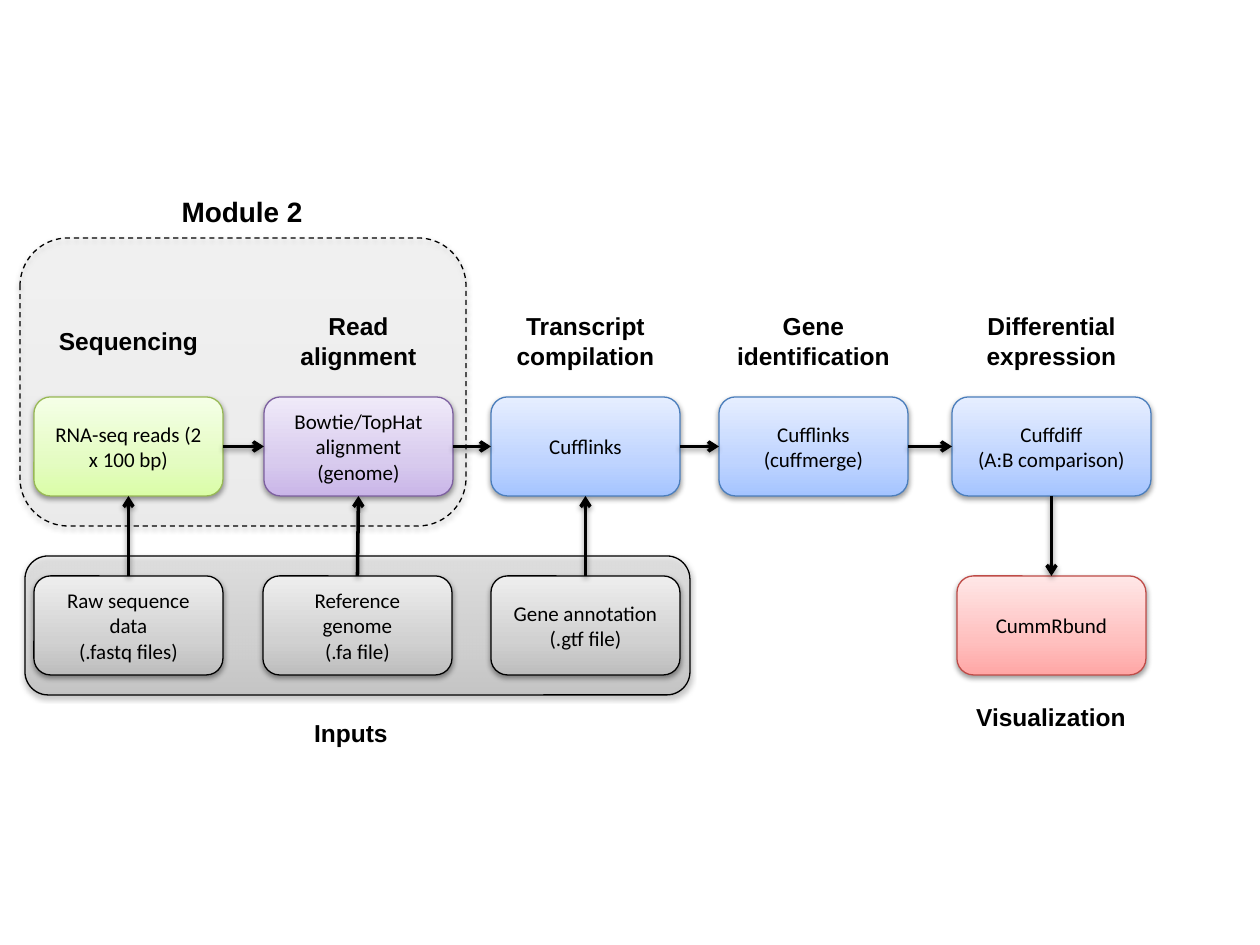
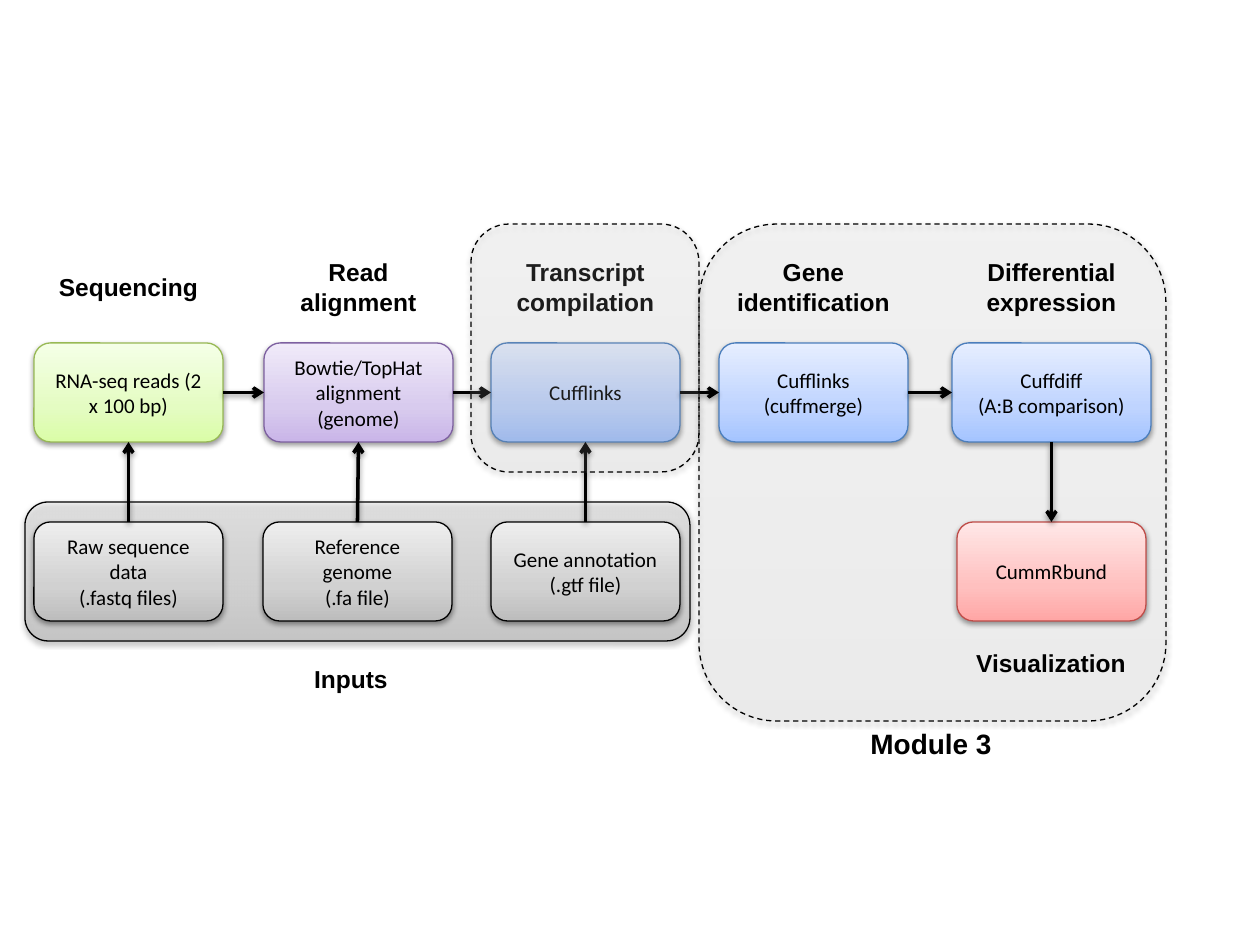
from dataclasses import dataclass
from lxml import etree
from pptx import Presentation
from pptx import util as u
from pptx.dml.color import RGBColor
from pptx.enum import dml, shapes, text
from pptx.oxml.ns import nsdecls, qn


@dataclass(frozen=True)
class Theme:
    ink: str = "000000"
    body_font: str = "Calibri"
    label_font: str = "Arial"
    body_size: int = 12
    label_size: int = 14
    module_size: int = 16
    outline: float = 0.75
    arrow: float = 2


T = Theme()
PX = 914400 / 126

PALETTE = {
    "green": (("DAFDA7", "E4FCC2", "F5FFE7"), "98B955"),
    "purple": (("C9B5E8", "D8CBEE", "F0EAF9"), "7D60A0"),
    "blue": (("A4C4FF", "BFD4FF", "E6EEFF"), "4B7EBC"),
    "red": (("FFA6A5", "FFC0BF", "FFE7E7"), "BF4C48"),
    "gray": (("BDBDBD", "D1D1D1", "EEEEEE"), T.ink),
}

STEP_Y, INPUT_Y, NODE_H = 397, 576, 99
HEADING_Y, VISUAL_Y, INPUTS_LABEL_Y = 341, 717, 733
INPUTS_BAND = (25, 556, 665, 139)
INPUTS_CENTER = 351

STEPS = [
    ("reads", 34, 189, "green", "RNA-seq reads (2 x 100 bp)", "Sequencing", 165),
    ("align", 264, 189, "purple", "Bowtie/TopHat alignment (genome)", "Read alignment", 171),
    ("compile", 491, 189, "blue", "Cufflinks", "Transcript compilation", 228),
    ("merge", 719, 189, "blue", "Cufflinks (cuffmerge)", "Gene identification", 228),
    ("diff", 952, 199, "blue", "Cuffdiff\n(A:B comparison)", "Differential expression", 228),
]
LOWER = [
    ("plot", 957, "red", "CummRbund"),
    ("annotation", 491, "gray", "Gene annotation\n(.gtf file)"),
    ("genome", 263, "gray", "Reference genome\n(.fa file)"),
    ("fastq", 34, "gray", "Raw sequence data\n(.fastq files)"),
]
TOP, LEFT, BOTTOM, RIGHT = range(4)
ARROWS = [(a[0], RIGHT, b[0], LEFT) for a, b in zip(STEPS, STEPS[1:])] + [
    ("diff", BOTTOM, "plot", TOP),
    ("fastq", TOP, "reads", BOTTOM),
    ("genome", TOP, "align", BOTTOM),
    ("annotation", TOP, "compile", BOTTOM),
]
SLIDES = [
    dict(shift=0, behind=(20, 238, 446, 288), front=None, module=("Module 2", 242, 212)),
    dict(shift=-54, behind=(699, 224, 467, 497), front=(471, 224, 228, 248),
         module=("Module 3", 931, 744)),
]


def px(*values):
    return [u.Emu(round(v * PX)) for v in values]


def add_shadow(sp):
    spPr = sp._element.spPr
    effects = spPr.find(qn("a:effectLst"))
    if effects is None:
        effects = etree.SubElement(spPr, qn("a:effectLst"))
    effects.append(etree.fromstring(
        f'<a:outerShdw {nsdecls("a")} blurRad="40000" dist="20000" dir="5400000" rotWithShape="0">'
        f'<a:srgbClr val="{T.ink}"><a:alpha val="38000"/></a:srgbClr></a:outerShdw>'))


def set_line(sp, color, width):
    sp.line.color.rgb = RGBColor.from_string(color)
    sp.line.width = u.Pt(width)


def set_text(tf, words, font, size, bold=False):
    tf.text = words
    for p in tf.paragraphs:
        p.alignment = text.PP_ALIGN.CENTER
        for r in p.runs:
            r.font.name, r.font.size, r.font.bold = font, u.Pt(size), bold
            r.font.color.rgb = RGBColor.from_string(T.ink)


def add_box(slide, box, palette, opacity=100, dashed=False):
    sp = slide.shapes.add_shape(shapes.MSO_SHAPE.ROUNDED_RECTANGLE, *px(*box))
    colors, edge = PALETTE[palette]
    stops = "".join(
        f'<a:gs pos="{pos}000"><a:srgbClr val="{color}"><a:alpha val="{opacity}000"/></a:srgbClr></a:gs>'
        for pos, color in zip((0, 35, 100), colors))
    sp._element.spPr.insert(2, etree.fromstring(
        f'<a:gradFill {nsdecls("a")} rotWithShape="1"><a:gsLst>{stops}</a:gsLst>'
        '<a:lin ang="16200000" scaled="0"/></a:gradFill>'))
    set_line(sp, edge, T.outline)
    if dashed:
        sp.line.dash_style = dml.MSO_LINE.DASH
    sp.shadow.inherit = False
    add_shadow(sp)
    return sp


def add_node(slide, box, palette, words):
    sp = add_box(slide, box, palette)
    tf = sp.text_frame
    tf.word_wrap = True
    tf.vertical_anchor = text.MSO_ANCHOR.MIDDLE
    set_text(tf, words, T.body_font, T.body_size)
    return sp


def add_label(slide, words, cx, cy, w, size=T.label_size):
    wraps = " " in words and size == T.label_size
    h = 72 if wraps else 43 if size == T.label_size else 47
    tf = slide.shapes.add_textbox(*px(cx - w / 2, cy - h / 2, w, h)).text_frame
    tf.word_wrap = wraps
    tf.auto_size = text.MSO_AUTO_SIZE.SHAPE_TO_FIT_TEXT
    set_text(tf, words, T.label_font, size, bold=True)


def add_arrow(slide, start, start_site, end, end_site):
    sp = slide.shapes.add_connector(shapes.MSO_CONNECTOR.STRAIGHT, 0, 0, 0, 0)
    sp.begin_connect(start, start_site)
    sp.end_connect(end, end_site)
    set_line(sp, T.ink, T.arrow)
    etree.SubElement(sp.line._get_or_add_ln(), qn("a:tailEnd"), type="arrow")
    add_shadow(sp)


def add_workflow(slide, shift, behind, front, module):
    add_box(slide, behind, "gray", 13, dashed=True)
    x, y, w, h = INPUTS_BAND
    add_box(slide, (x, y + shift, w, h), "gray", 51)
    nodes = {}
    for key, x, w, palette, words, heading, heading_w in STEPS:
        nodes[key] = add_node(slide, (x, STEP_Y + shift, w, NODE_H), palette, words)
        add_label(slide, heading, x + w / 2, HEADING_Y + shift, heading_w)
    for key, x, palette, words in LOWER:
        nodes[key] = add_node(slide, (x, INPUT_Y + shift, 189, NODE_H), palette, words)
    add_label(slide, "Visualization", 1051, VISUAL_Y + shift, 228)
    for start, start_site, end, end_site in ARROWS:
        add_arrow(slide, nodes[start], start_site, nodes[end], end_site)
    add_label(slide, "Inputs", INPUTS_CENTER, INPUTS_LABEL_Y + shift, 100)
    if front:
        add_box(slide, front, "gray", 13, dashed=True)
    add_label(slide, *module, 147, T.module_size)


def main():
    prs = Presentation()
    prs.slide_width, prs.slide_height = px(1260, 945)
    for content in SLIDES:
        add_workflow(prs.slides.add_slide(prs.slide_layouts[6]), **content)
    prs.save("out.pptx")


if __name__ == "__main__":
    main()
